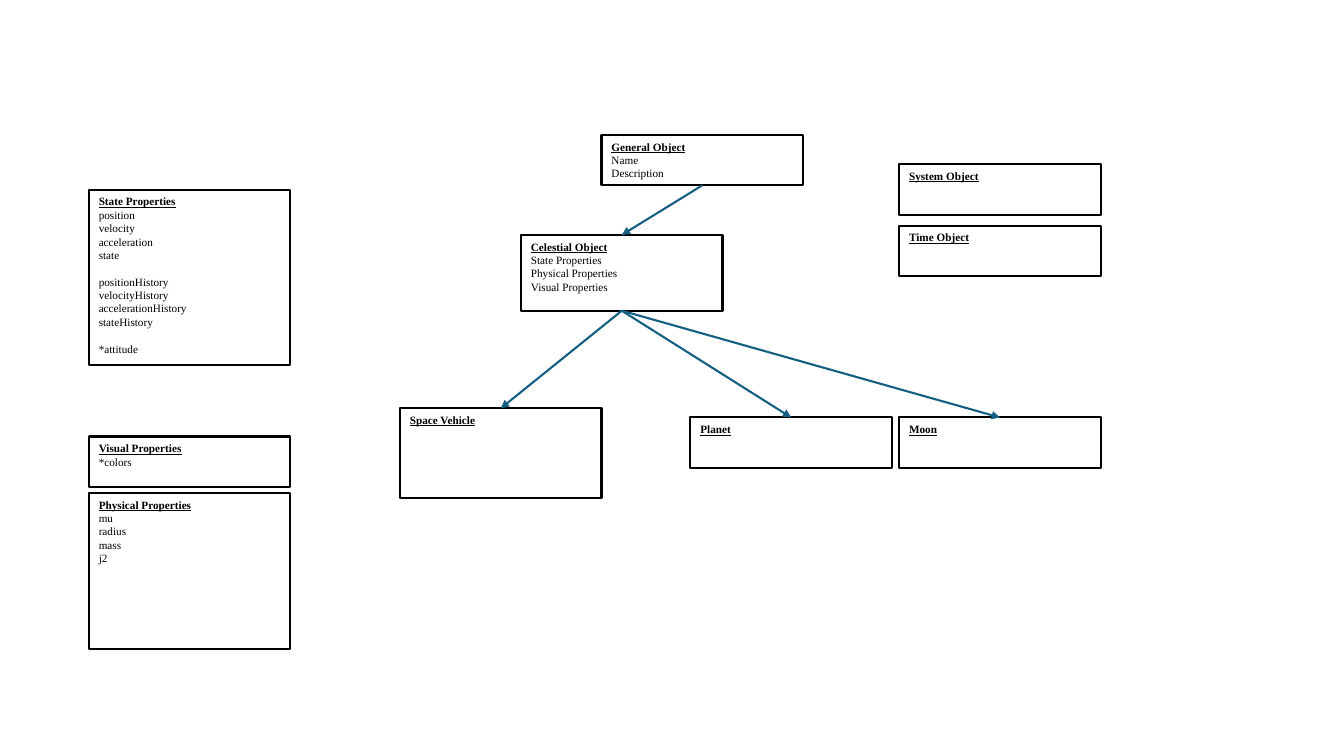
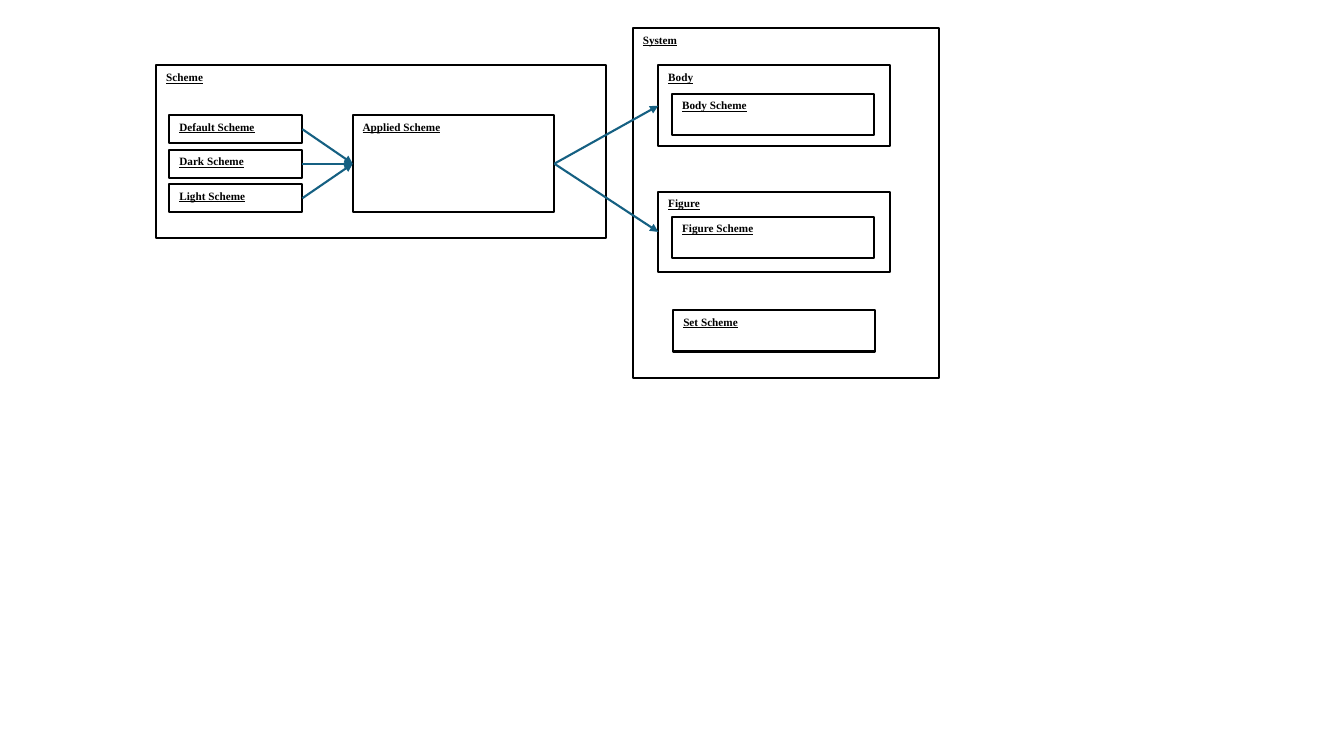
"""Build two class diagrams of boxes joined by arrows."""
from dataclasses import dataclass

from pptx import Presentation
from pptx.dml.color import RGBColor
from pptx.enum.shapes import MSO_CONNECTOR as CONN, MSO_SHAPE as SHAPE
from pptx.enum.text import MSO_ANCHOR as ANCHOR, PP_ALIGN as ALIGN
from pptx.oxml.ns import qn
from pptx.util import Cm, Pt
from lxml.etree import SubElement

TOP, LEFT, BOTTOM, RIGHT = range(4)


@dataclass(frozen=True)
class Theme:
    font: str = "Times New Roman"
    ink: RGBColor = RGBColor(0x00, 0x00, 0x00)
    arrow: RGBColor = RGBColor(0x15, 0x60, 0x82)
    size: Pt = Pt(8)
    group_gap: Pt = Pt(9.5)
    line: Pt = Pt(1.5)
    box_w: float = 5.08
    box_h: float = 1.27
    slot_h: float = 1.04


T = Theme()


def add_line(tf, text, first=False, gap=False):
    p = tf.paragraphs[0] if first else tf.add_paragraph()
    p.text = text
    p.alignment = ALIGN.LEFT
    p.font.name, p.font.size = T.font, T.size
    p.font.color.rgb = T.ink
    p.font.bold = p.font.underline = first
    if gap:
        p.space_before = T.group_gap


def add_box(s, title, x, y, w=T.box_w, h=T.box_h, groups=()):
    sp = s.shapes.add_shape(SHAPE.RECTANGLE, Cm(x), Cm(y), Cm(w), Cm(h))
    sp.shadow.inherit = False
    sp.fill.background()
    sp.line.color.rgb, sp.line.width = T.ink, T.line
    tf = sp.text_frame
    tf.word_wrap = True
    tf.vertical_anchor = ANCHOR.TOP
    add_line(tf, title, first=True)
    for g, group in enumerate(groups):
        for i, text in enumerate(group):
            add_line(tf, text, gap=g > 0 and i == 0)
    return sp


def add_arrow(s, start, start_side, end, end_side):
    c = s.shapes.add_connector(CONN.STRAIGHT, 0, 0, 0, 0)
    c.begin_connect(start, start_side)
    c.end_connect(end, end_side)
    c.line.color.rgb, c.line.width = T.arrow, T.line
    SubElement(c.line._get_or_add_ln(), qn("a:tailEnd"), type="triangle")
    SubElement(c._element.spPr, qn("a:effectLst"))


def build_objects(s):
    props_x, right_x, child_y = 2.24, 22.66, 10.52
    general = add_box(s, "General Object", 15.16, 3.4,
                      groups=[["Name", "Description"]])
    celestial = add_box(s, "Celestial Object", 13.13, 5.92, h=1.91, groups=[
        ["State Properties", "Physical Properties", "Visual Properties"]])
    children = [add_box(s, "Space Vehicle", 10.08, 10.29, h=2.26),
                add_box(s, "Planet", 17.4, child_y),
                add_box(s, "Moon", right_x, child_y)]
    add_box(s, "State Properties", props_x, 4.78, h=4.42, groups=[
        ["position", "velocity", "acceleration", "state"],
        ["positionHistory", "velocityHistory", "accelerationHistory",
         "stateHistory"],
        ["*attitude"]])
    add_box(s, "Visual Properties", props_x, 11, groups=[["*colors"]])
    add_box(s, "Physical Properties", props_x, 12.42, h=3.94,
            groups=[["mu", "radius", "mass", "j2"]])
    add_box(s, "System Object", right_x, 4.14)
    add_box(s, "Time Object", right_x, 5.69)
    add_arrow(s, general, BOTTOM, celestial, TOP)
    for child in children:
        add_arrow(s, celestial, BOTTOM, child, TOP)


def build_schemes(s):
    top, pitch, part_x, slot_x = 2.9, 0.87, 16.59, 16.94
    add_box(s, "Scheme", 3.94, 1.65, 11.33, 4.34)
    add_box(s, "System", 15.95, 0.71, 7.72, 8.81)
    applied = add_box(s, "Applied Scheme", 8.89, top, h=2.45)
    for i, name in enumerate(["Default", "Dark", "Light"]):
        option = add_box(s, f"{name} Scheme", 4.27, top + i * pitch, 3.35, 0.71)
        add_arrow(s, option, RIGHT, applied, LEFT)
    for name, y, slot_y in [("Body", 1.65, 2.36), ("Figure", 4.83, 5.46)]:
        part = add_box(s, name, part_x, y, 5.84, 2.03)
        add_box(s, f"{name} Scheme", slot_x, slot_y, h=T.slot_h)
        add_arrow(s, applied, RIGHT, part, LEFT)
    add_box(s, "Set Scheme", 16.97, 7.82, h=T.slot_h)


def main():
    prs = Presentation()
    prs.slide_width, prs.slide_height = Cm(33.87), Cm(19.05)
    for build in (build_objects, build_schemes):
        build(prs.slides.add_slide(prs.slide_layouts[6]))
    prs.save("out.pptx")


if __name__ == "__main__":
    main()
